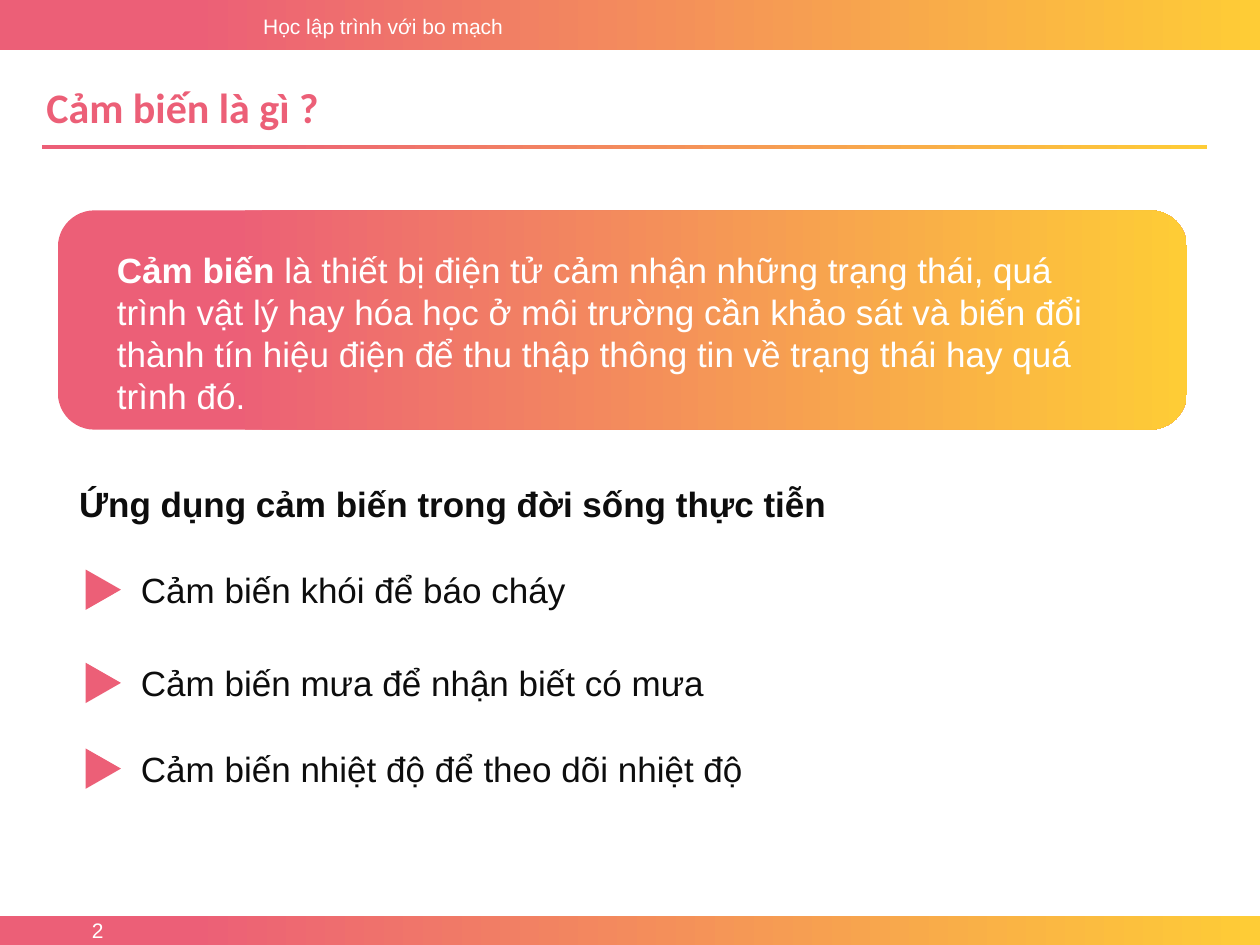
from dataclasses import dataclass

from pptx import Presentation
from pptx.dml.color import RGBColor
from pptx.enum.shapes import MSO_SHAPE as Preset
from pptx.enum.text import MSO_ANCHOR as Anchor, PP_ALIGN as Align
from pptx.util import Inches, Pt


@dataclass(frozen=True)
class Theme:
    """Colours, fonts and type sizes of the slide."""
    pink: str = "EC5F77"
    yellow: str = "FECC36"
    white: str = "FFFFFF"
    ink: str = "0D0D0D"
    body_font: str = "Arial"
    title_font: str = "Calibri"
    small: int = 12
    body: int = 20
    title: int = 24


THEME = Theme()


def add_shape(slide, box, preset=Preset.RECTANGLE):
    """Add an outline-free, shadow-free preset shape in the box."""
    shape = slide.shapes.add_shape(preset, *map(Inches, box))
    shape.shadow.inherit = False
    shape.line.fill.background()
    return shape


def add_gradient(slide, box, preset=Preset.RECTANGLE):
    """Add a shape that runs from pink to yellow, left to right."""
    fill = add_shape(slide, box, preset).fill
    fill.gradient()
    fill.gradient_angle = 0
    stops = ((0.15, THEME.pink), (1, THEME.yellow))
    for stop, (position, color) in zip(fill.gradient_stops, stops):
        stop.position = position
        stop.color.rgb = RGBColor.from_string(color)


def add_text(slide, box, runs, color=THEME.ink, size=THEME.body,
             font=THEME.body_font, align=Align.LEFT, anchor=Anchor.TOP):
    """Add one wrapped paragraph of (text, bold) runs in the box."""
    frame = slide.shapes.add_textbox(*map(Inches, box)).text_frame
    frame.word_wrap = True
    frame.vertical_anchor = anchor
    paragraph = frame.paragraphs[0]
    paragraph.alignment = align
    for text, bold in runs:
        run = paragraph.add_run()
        run.text = text
        formats = {"name": font, "size": Pt(size), "bold": bold}
        for name, value in formats.items():
            setattr(run.font, name, value)
        run.font.color.rgb = RGBColor.from_string(color)


def add_header(slide, box, course):
    """Draw the top band with the course name."""
    left, top, _, _ = box
    add_gradient(slide, box)
    add_text(slide, (left + 1.99, top + 0.06, 2.25, 0.3), [(course, False)],
             color=THEME.white, size=THEME.small)


def add_footer(slide, box, number):
    """Draw the bottom band with the slide number."""
    left, top, _, height = box
    add_gradient(slide, box)
    add_text(slide, (left, top, 0.92, height), [(number, False)],
             color=THEME.white, size=THEME.small,
             align=Align.RIGHT, anchor=Anchor.MIDDLE)


def add_title(slide, box, title):
    """Place the title above a thin gradient rule."""
    left, top, width, height = box
    add_gradient(slide, (left, top + height - 0.03, width, 0.03))
    add_text(slide, (left - 0.06, top, 8.07, 0.5), [(title, True)],
             color=THEME.pink, size=THEME.title, font=THEME.title_font)


def add_definition(slide, box, term, meaning):
    """Draw the rounded panel with the defined term in bold."""
    left, top, width, _ = box
    add_gradient(slide, box, Preset.ROUNDED_RECTANGLE)
    add_text(slide, (left + 0.37, top + 0.25, width - 0.72, 1.11),
             [(term, True), (meaning, False)], color=THEME.white)


def add_applications(slide, box, heading, items):
    """List the items below a heading, each marked by a triangle."""
    left, top, width, height = box
    add_text(slide, (left, top, width, height), [(heading, True)])
    for offset, item in items:
        row = top + offset
        marker = add_shape(slide, (left + 0.13, row + 0.08, 0.32, 0.28),
                           Preset.ISOSCELES_TRIANGLE)
        marker.rotation = 90
        marker.fill.solid()
        marker.fill.fore_color.rgb = RGBColor.from_string(THEME.pink)
        add_text(slide, (left + 0.49, row, width, height), [(item, False)])


def main():
    """Build the slide and save it."""
    presentation = Presentation()
    presentation.slide_width = Inches(10)
    presentation.slide_height = Inches(7.5)
    slide = presentation.slides.add_slide(presentation.slide_layouts[6])
    add_header(slide, (0, 0, 10, 0.4), "Học lập trình với bo mạch")
    add_footer(slide, (0, 7.27, 10, 0.23), "2")
    add_title(slide, (0.33, 0.6, 9.25, 0.58), "Cảm biến là gì ?")
    add_definition(
        slide, (0.46, 1.67, 8.96, 1.74), "Cảm biến",
        " là thiết bị điện tử cảm nhận những trạng thái, quá trình vật lý "
        "hay hóa học ở môi trường cần khảo sát và biến đổi thành tín hiệu "
        "điện để thu thập thông tin về trạng thái hay quá trình đó.")
    add_applications(
        slide, (0.53, 3.78, 6.17, 0.56),
        "Ứng dụng cảm biến trong đời sống thực tiễn",
        [(0.68, "Cảm biến khói để báo cháy"),
         (1.42, "Cảm biến mưa để nhận biết có mưa"),
         (2.1, "Cảm biến nhiệt độ để theo dõi nhiệt độ")])
    presentation.save("out.pptx")


if __name__ == "__main__":
    main()
